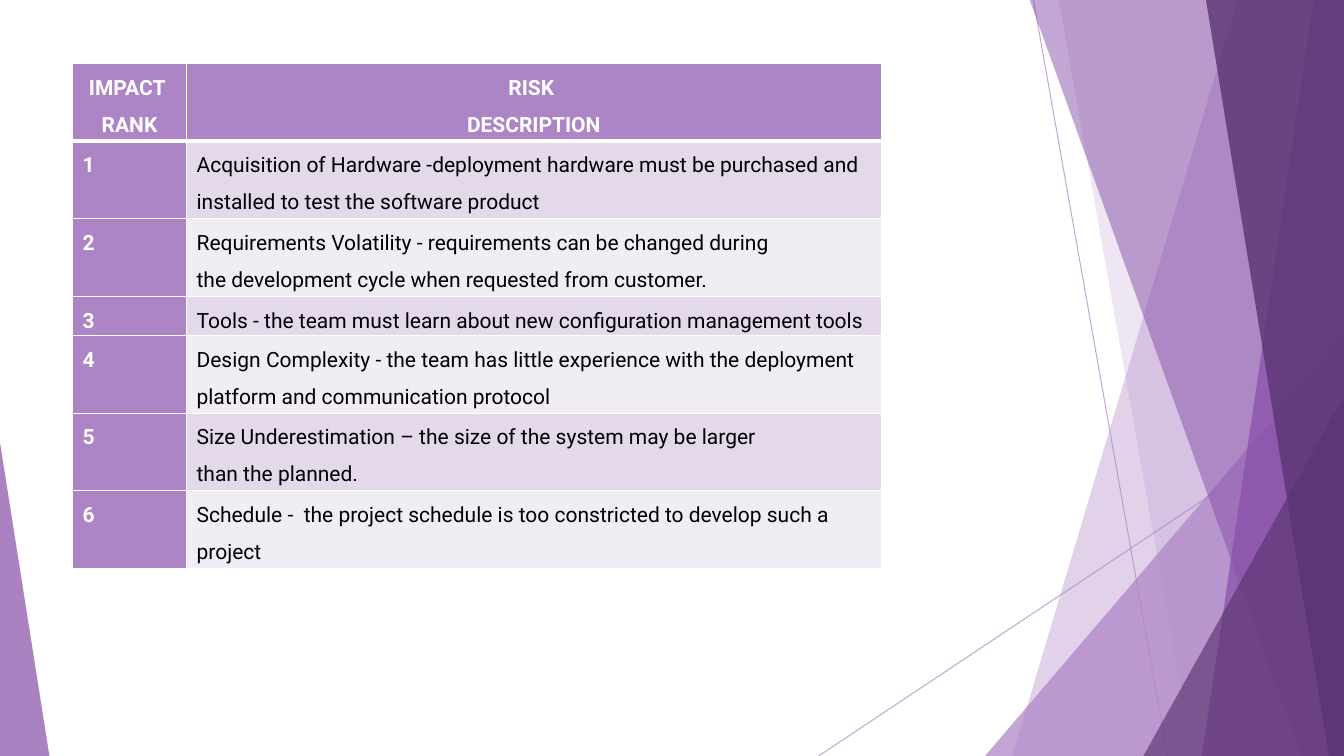
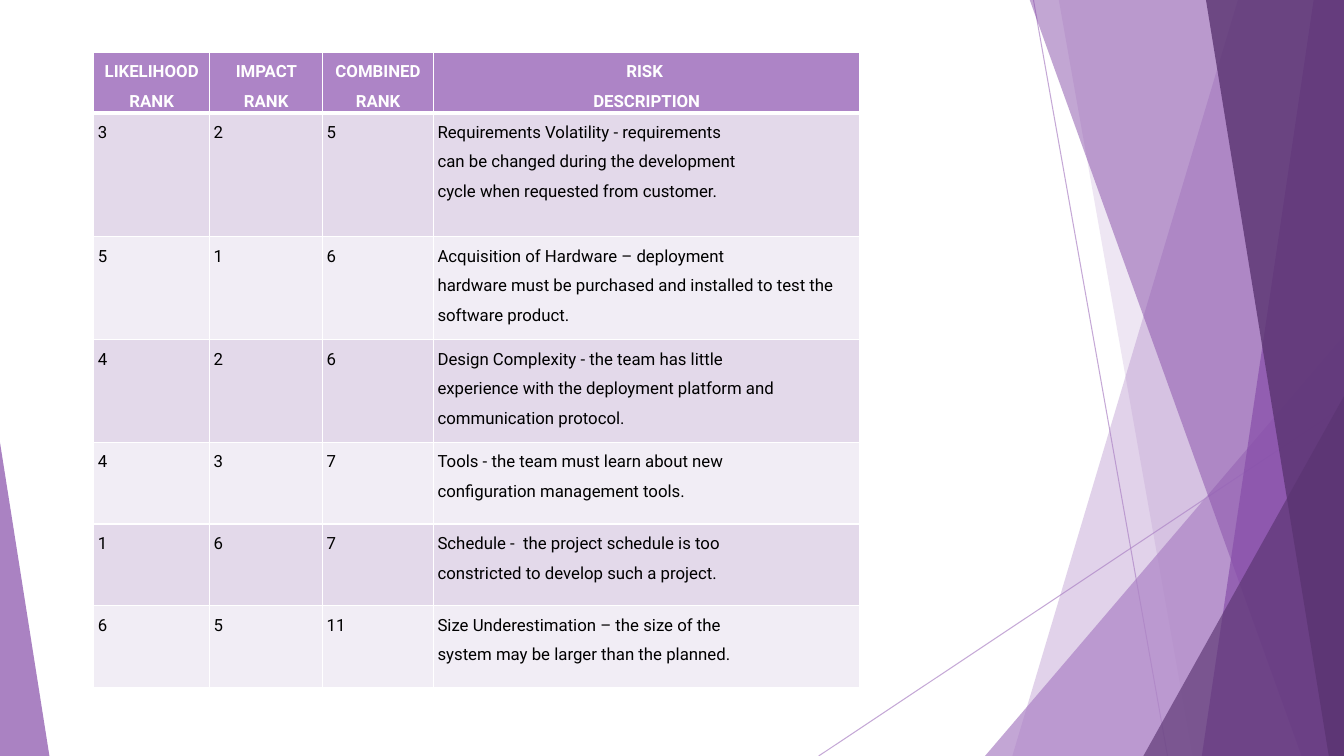
from dataclasses import dataclass

from lxml.etree import SubElement
from pptx import Presentation
from pptx.dml.color import RGBColor as RGB
from pptx.enum.shapes import MSO_CONNECTOR as CONNECTOR, MSO_SHAPE as SHAPE
from pptx.enum.text import PP_ALIGN as ALIGN
from pptx.oxml.ns import qn
from pptx.util import Inches, Pt


@dataclass(frozen=True)
class Theme:
    lilac: str = "AD84C6"
    violet: str = "874EA9"
    plum: str = "5A3471"
    white: str = "FFFFFF"
    black: str = "000000"
    stripes: tuple = ("E3D9EA", "F1EDF5")
    font: str = "Roboto"
    large: int = 15
    small: int = 12
    hairline: float = 0.75
    cell_rule: int = 1
    header_rule: int = 3
    line_spacing: float = 1.5


THEME = Theme()
WIDTH, HEIGHT, TOP = 13.33, 7.5, -0.01


def set_opacity(shape, percent):
    color = shape.element.spPr.find(".//" + qn("a:srgbClr"))
    SubElement(color, qn("a:alpha"), val=str(percent * 1000))


def set_borders(cell, top, bottom):
    properties = cell._tc.get_or_add_tcPr()
    for side, points in (("L", THEME.cell_rule), ("R", THEME.cell_rule), ("T", top), ("B", bottom)):
        border = SubElement(properties, qn(f"a:ln{side}"), w=str(Pt(points)))
        fill = SubElement(border, qn("a:solidFill"))
        SubElement(fill, qn("a:srgbClr"), val=THEME.white)


deck = Presentation()
deck.slide_width, deck.slide_height = Inches(WIDTH), Inches(HEIGHT)
layout = deck.slide_layouts[6]
for placeholder in list(layout.placeholders):
    layout.shapes.element.remove(placeholder.element)
slides = [deck.slides.add_slide(layout) for _ in range(2)]
canvas = slides[0].shapes
backdrop = []

for start_x, start_y, end_x, end_y in ((10.25, 0, 11.58, HEIGHT), (WIDTH, 4.03, 8.12, HEIGHT)):
    ray = canvas.add_connector(
        CONNECTOR.STRAIGHT, Inches(start_x), Inches(start_y), Inches(end_x), Inches(end_y)
    )
    ray.line.color.rgb = RGB.from_string(THEME.lilac)
    ray.line.width = Pt(THEME.hairline)
    set_opacity(ray, 70)
    SubElement(ray.element.spPr, qn("a:effectLst"))
    backdrop.append(ray)

facets = [
    ("band", (12.28, 10.04), THEME.lilac, 36),
    ("band", (10.5, 11.83), THEME.lilac, 20),
    ("triangle", (9.77, 3.33, 3.56, 1), THEME.lilac, 72),
    ("band", (10.21, 12.91), THEME.violet, 50),
    ("band", (13.03, 11.92), THEME.violet, 70),
    ("band", (11.96, 13.18), THEME.plum, 80),
    ("triangle", (11.34, 3.93, 1.99, 1), THEME.plum, 66),
    ("triangle", (0, 4.39, 0.49, 0), THEME.violet, 70),
]
for outline, geometry, color, opacity in facets:
    if outline == "band":
        top_x, bottom_x = geometry
        corners = [(top_x, TOP), (WIDTH, TOP), (WIDTH, HEIGHT), (bottom_x, HEIGHT)]
        points = [(Inches(x), Inches(y)) for x, y in corners]
        builder = canvas.build_freeform(*points[0])
        builder.add_line_segments(points[1:], close=True)
        facet = builder.convert_to_shape()
    else:
        left, apex_y, width, apex = geometry
        facet = canvas.add_shape(
            SHAPE.ISOSCELES_TRIANGLE,
            Inches(left), Inches(apex_y), Inches(width), Inches(HEIGHT - apex_y),
        )
        facet.adjustments[0] = apex
    facet.fill.solid()
    facet.fill.fore_color.rgb = RGB.from_string(color)
    facet.line.fill.background()
    facet.shadow.inherit = False
    set_opacity(facet, opacity)
    backdrop.append(facet)

for part in backdrop:
    layout.shapes.element.append(part.element)

impact_ranking = {
    "origin": (0.72, 0.63),
    "columns": [1.13, 6.89],
    "heights": [0.77, 0.77, 0.77, 0.39, 0.77, 0.77, 0.77],
    "size": THEME.large,
    "inset": 0.1,
    "rank_heads": True,
    "rows": [
        ("IMPACT \nRANK", "RISK \nDESCRIPTION"),
        ("1", "Acquisition of Hardware -deployment hardware must be purchased and\n"
              "installed to test the software product"),
        ("2", "Requirements Volatility - requirements can be changed during\n"
              "the development cycle when requested from customer."),
        ("3", "Tools - the team must learn about new configuration management tools"),
        ("4", "Design Complexity - the team has little experience with the deployment\n"
              "platform and communication protocol"),
        ("5", "Size Underestimation – the size of the system may be larger\nthan the planned."),
        ("6", "Schedule -  the project schedule is too constricted to develop such a project"),
    ],
}
combined_ranking = {
    "origin": (0.93, 0.52),
    "columns": [1.15, 1.12, 1.1, 4.23],
    "heights": [0.6, 1.23, 1.02, 1.02, 0.81, 0.81, 0.81],
    "size": THEME.small,
    "inset": 0.04,
    "rank_heads": False,
    "rows": [
        ("LIKELIHOOD RANK", "IMPACT RANK", "COMBINED RANK", "RISK \nDESCRIPTION"),
        ("3", "2", "5", "Requirements Volatility - requirements\n"
                        "can be changed during the development\n"
                        "cycle when requested from customer."),
        ("5", "1", "6", "Acquisition of Hardware – deployment\n"
                        "hardware must be purchased and installed to test the software product."),
        ("4", "2", "6", "Design Complexity - the team has little\n"
                        "experience with the deployment platform and communication protocol."),
        ("4", "3", "7", "Tools - the team must learn about new\nconfiguration management tools."),
        ("1", "6", "7", "Schedule -  the project schedule is too\n"
                        "constricted to develop such a project."),
        ("6", "5", "11", "Size Underestimation – the size of the\n"
                         "system may be larger than the planned."),
    ],
}

for slide, ranking in zip(slides, (impact_ranking, combined_ranking)):
    rows, columns, heights = ranking["rows"], ranking["columns"], ranking["heights"]
    left, top = ranking["origin"]
    grid = slide.shapes.add_table(
        len(rows), len(columns),
        Inches(left), Inches(top), Inches(sum(columns)), Inches(sum(heights)),
    ).table
    for column, width in zip(grid.columns, columns):
        column.width = Inches(width)
    for row, height in zip(grid.rows, heights):
        row.height = Inches(height)
    for r, entries in enumerate(rows):
        for c, entry in enumerate(entries):
            cell = grid.cell(r, c)
            is_head = r == 0 or (c == 0 and ranking["rank_heads"])
            cell.margin_left = cell.margin_right = Inches(ranking["inset"])
            cell.margin_top = cell.margin_bottom = 0
            set_borders(
                cell,
                top=THEME.header_rule if r == 1 else THEME.cell_rule,
                bottom=THEME.header_rule if r == 0 else THEME.cell_rule,
            )
            cell.fill.solid()
            cell.fill.fore_color.rgb = RGB.from_string(
                THEME.lilac if is_head else THEME.stripes[(r - 1) % 2]
            )
            cell.text_frame.text = entry
            for paragraph in cell.text_frame.paragraphs:
                paragraph.line_spacing = THEME.line_spacing
                paragraph.alignment = ALIGN.CENTER if r == 0 else ALIGN.LEFT
                for run in paragraph.runs:
                    run.font.name = THEME.font
                    run.font.size = Pt(ranking["size"])
                    run.font.bold = is_head
                    run.font.color.rgb = RGB.from_string(THEME.white if is_head else THEME.black)

deck.save("out.pptx")
